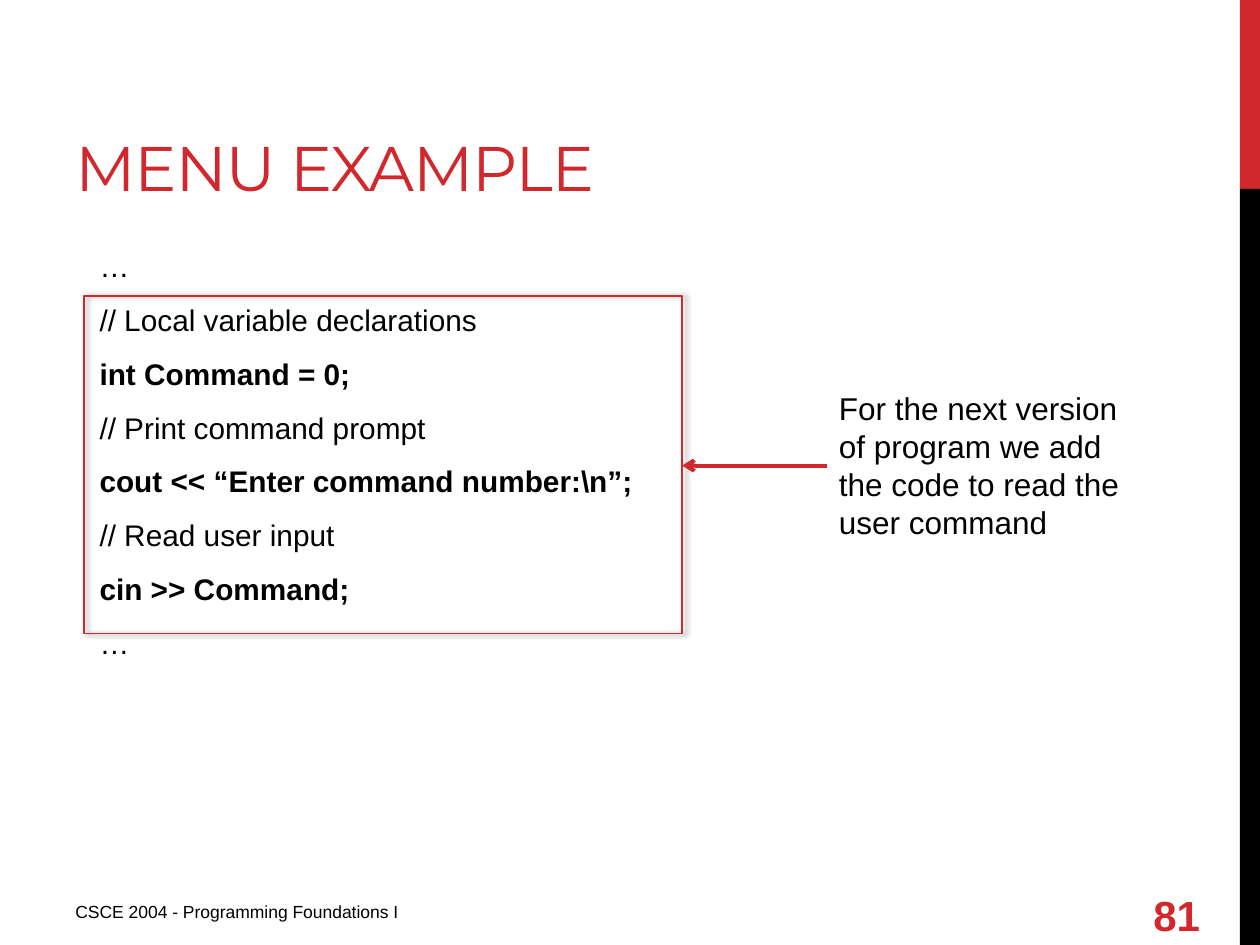
import dataclasses
import lxml.etree
import pptx
import pptx.dml.color
import pptx.enum.shapes
import pptx.enum.text
import pptx.oxml
import pptx.oxml.ns
import pptx.util

COLS, ROWS = 10, 7.5
UNIT = pptx.util.Inches(1)


@dataclasses.dataclass(frozen=True)
class Theme:
    accent: str = "D1282E"
    ink: str = "000000"
    heading: str = "Montserrat"
    body: str = "Arial"
    title: float = 36
    number: float = 24
    note: float = 18
    code: float = 17
    footer: float = 10


@dataclasses.dataclass(frozen=True)
class Box:
    x: float
    y: float
    w: float
    h: float

    def inner(self, x, y, w, h):
        return Box(self.x + x * self.w, self.y + y * self.h, w * self.w, h * self.h)

    def emu(self):
        return [int(v * UNIT) for v in (self.x, self.y, self.w, self.h)]


THEME = Theme()
ANCHOR = pptx.enum.text.MSO_ANCHOR

CODE = [
    ("…", False),
    ("// Local variable declarations", False),
    ("int Command = 0;", True),
    ("// Print command prompt", False),
    ("cout << “Enter command number:\\n”;", True),
    ("// Read user input", False),
    ("cin >> Command;", True),
    ("…", False),
]


def rgb(color):
    return pptx.dml.color.RGBColor.from_string(color)


def add_effects(s, xml=""):
    ns = pptx.oxml.ns.nsdecls("a")
    s._element.spPr.append(pptx.oxml.parse_xml(f"<a:effectLst {ns}>{xml}</a:effectLst>"))


def add_rect(slide, box, fill=None):
    s = slide.shapes.add_shape(pptx.enum.shapes.MSO_SHAPE.RECTANGLE, *box.emu())
    if fill:
        s.shadow.inherit = False
        s.fill.solid()
        s.fill.fore_color.rgb = rgb(fill)
        s.line.fill.background()
    else:
        s.fill.background()
    return s


def add_text(slide, box, lines, size, color=THEME.ink, font=THEME.body, anchor=ANCHOR.TOP):
    tf = slide.shapes.add_textbox(*box.emu()).text_frame
    tf.word_wrap = True
    tf.vertical_anchor = anchor
    for i, (text, bold) in enumerate(lines):
        p = tf.paragraphs[0] if i == 0 else tf.add_paragraph()
        p.add_run().text = text
        p.font.size = pptx.util.Pt(size)
        p.font.name = font
        p.font.bold = bold
        p.font.color.rgb = rgb(color)
    return tf


def side_bar(slide, box):
    add_rect(slide, box.inner(0, 0, 1, 0.2), THEME.accent)
    add_rect(slide, box.inner(0, 0.2, 1, 0.8), THEME.ink)


def title(slide, box):
    tf = add_text(slide, box, [("MENU EXAMPLE", False)], THEME.title,
                  THEME.accent, THEME.heading, ANCHOR.BOTTOM)
    tf.paragraphs[0].runs[0].font._element.set("spc", "-60")


def code_panel(slide, box):
    tf = add_text(slide, box, CODE, THEME.code)
    tf.margin_left = pptx.util.Inches(0.29)
    for i, p in enumerate(tf.paragraphs):
        p.space_before = pptx.util.Pt(4.3 if i else 0)
        p.space_after = pptx.util.Pt(6)
    frame = box.inner(0.02, 0.09, 0.57, 0.56)
    s = add_rect(slide, frame)
    s.line.color.rgb = rgb(THEME.accent)
    s.line.width = pptx.util.Pt(1)
    add_effects(s, f'<a:outerShdw blurRad="{int(pptx.util.Pt(3.1))}" '
                   f'dist="{int(pptx.util.Pt(1.8))}" dir="0" rotWithShape="0">'
                   f'<a:srgbClr val="{THEME.ink}"><a:alpha val="40000"/></a:srgbClr>'
                   '</a:outerShdw>')
    return frame


def callout(slide, box, target):
    note = "For the next version of program we add the code to read the user command"
    add_text(slide, box, [(note, False)], THEME.note)
    mid = box.y + box.h / 2
    ends = [int(v * UNIT) for v in (box.x, mid, target.x + target.w, mid)]
    s = slide.shapes.add_connector(pptx.enum.shapes.MSO_CONNECTOR.STRAIGHT, *ends)
    s.line.color.rgb = rgb(THEME.accent)
    s.line.width = pptx.util.Pt(2.25)
    ln = s._element.spPr.find(pptx.oxml.ns.qn("a:ln"))
    lxml.etree.SubElement(ln, pptx.oxml.ns.qn("a:tailEnd"), type="arrow")
    add_effects(s)


def footer(slide, box):
    add_text(slide, box.inner(0, 0.1, 0.4, 0.8),
             [("CSCE 2004 - Programming Foundations I", False)], THEME.footer)
    add_text(slide, box.inner(0.92, 0, 0.08, 1), [("81", True)],
             THEME.number, THEME.accent, anchor=ANCHOR.MIDDLE)


def main():
    prs = pptx.Presentation()
    prs.slide_width = int(COLS * UNIT)
    prs.slide_height = int(ROWS * UNIT)
    slide = prs.slides.add_slide(prs.slide_layouts[6])
    side_bar(slide, Box(9.84, 0, 0.16, ROWS))
    title(slide, Box(0.5, 0.17, 6.33, 1.5))
    footer(slide, Box(0.5, 7.06, 9.3, 0.4))
    frame = code_panel(slide, Box(0.5, 1.92, 8.33, 4.78))
    callout(slide, Box(6.56, 3.04, 2.6, 1.31), frame)
    prs.save("out.pptx")


if __name__ == "__main__":
    main()
